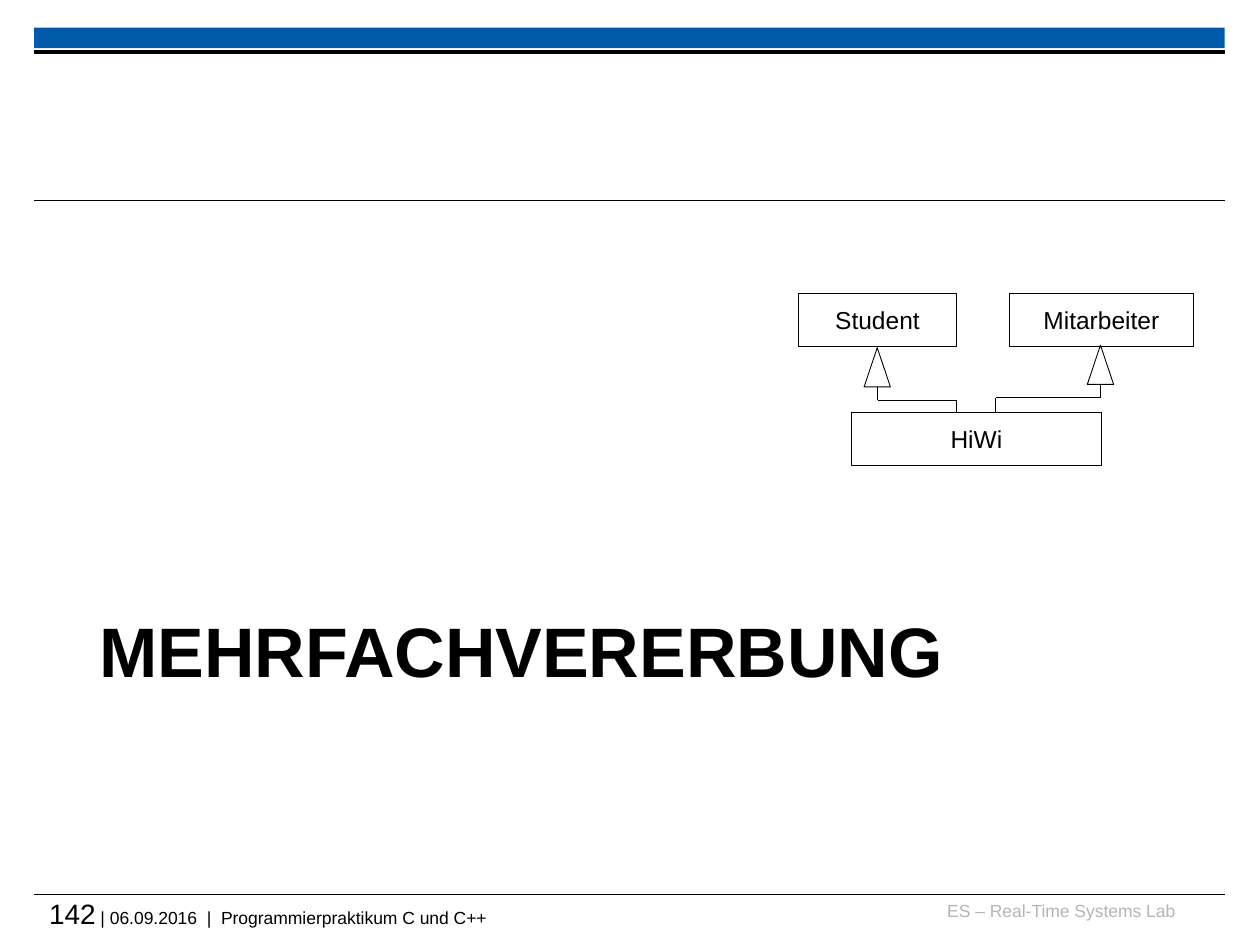
from lxml import etree
from pptx import Presentation
from pptx import util as u
from pptx.dml import color
from pptx.enum import shapes, text
from pptx.oxml import ns

HUES = {"ink": "000000", "paper": "FFFFFF", "blue": "005AA9", "gray": "B5B5B5"}
FORMS = shapes.MSO_SHAPE


class Pen:
    def __init__(self, slide):
        self.slide = slide
        self.font = "Arial"

    def hue(self, name):
        return color.RGBColor.from_string(HUES[name])

    def add(self, para, words, size, hue="ink", bold=False):
        run = para.add_run()
        run.text = words
        run.font.name = self.font
        run.font.size = u.Pt(size)
        run.font.bold = bold
        run.font.color.rgb = self.hue(hue)

    def shape(self, form, x, y, w, h, fill, width=0):
        item = self.slide.shapes.add_shape(form, u.Cm(x), u.Cm(y), u.Cm(w), u.Cm(h))
        item.shadow.inherit = False
        item.fill.solid()
        item.fill.fore_color.rgb = self.hue(fill)
        if width:
            item.line.color.rgb = self.hue("ink")
            item.line.width = u.Pt(width)
        else:
            item.line.fill.background()
        return item

    def node(self, x, y, w, label):
        frame = self.shape(FORMS.RECTANGLE, x, y, w, 1.07, "paper", 0.75).text_frame
        frame.word_wrap = False
        frame.vertical_anchor = text.MSO_ANCHOR.MIDDLE
        para = frame.paragraphs[0]
        para.alignment = text.PP_ALIGN.CENTER
        self.add(para, label, 14)

    def line(self, x, y, to_x, to_y, width=0.75):
        item = self.slide.shapes.add_connector(
            shapes.MSO_CONNECTOR.STRAIGHT, u.Cm(x), u.Cm(y), u.Cm(to_x), u.Cm(to_y))
        item.line.color.rgb = self.hue("ink")
        item.line.width = u.Pt(width)
        etree.SubElement(item._element.spPr, ns.qn("a:effectLst"))

    def label(self, x, y, w, h, runs, align=text.PP_ALIGN.LEFT):
        box = self.slide.shapes.add_textbox(u.Cm(x), u.Cm(y), u.Cm(w), u.Cm(h))
        frame = box.text_frame
        frame.word_wrap = True
        frame.margin_left = frame.margin_right = 0
        frame.margin_top = frame.margin_bottom = 0
        para = frame.paragraphs[0]
        para.alignment = align
        for run in runs:
            self.add(para, *run)

    def arrow(self, x, top, drop, base):
        foot = top + 0.79
        bend = foot + 0.27
        self.shape(FORMS.ISOSCELES_TRIANGLE, x - 0.27, top, 0.53, 0.79, "paper", 0.5)
        self.line(x, foot, x, bend, 0.5)
        self.line(x, bend, drop, bend)
        self.line(drop, bend, drop, base)


def main():
    deck = Presentation()
    deck.slide_width, deck.slide_height = u.Cm(25.4), u.Cm(19.05)
    pen = Pen(deck.slides.add_slide(deck.slide_layouts[6]))

    left, wide = 0.69, 24
    pen.line(left, 18.03, left + wide, 18.03, 0.6)
    pen.shape(FORMS.RECTANGLE, left, 0.56, wide, 0.41, "blue")
    pen.line(left, 4.04, left + wide, 4.04, 0.6)
    pen.shape(FORMS.RECTANGLE, left, 1.02, wide, 0.05, "ink", 0.75)

    pen.label(18.69, 18.14, 5, 0.64, [("ES – Real-Time Systems Lab", 10, "gray")],
              text.PP_ALIGN.RIGHT)
    pen.label(0.99, 18.08, 23.7, 0.84, [
        ("142", 16), (" | 06.09.2016  |  Programmierpraktikum C und C++", 10)])
    pen.label(2.01, 12.24, 21.59, 3.78, [("MEHRFACHVERERBUNG", 40, "ink", True)])

    base = 8.31
    pen.node(17.17, base, 5.03, "HiWi")
    pen.node(16.1, 5.92, 3.18, "Student")
    pen.node(20.35, 5.92, 3.71, "Mitarbeiter")
    pen.arrow(17.69, 7.01, 19.28, base)
    pen.arrow(22.19, 6.96, 20.07, base)

    deck.save("out.pptx")


if __name__ == "__main__":
    main()
